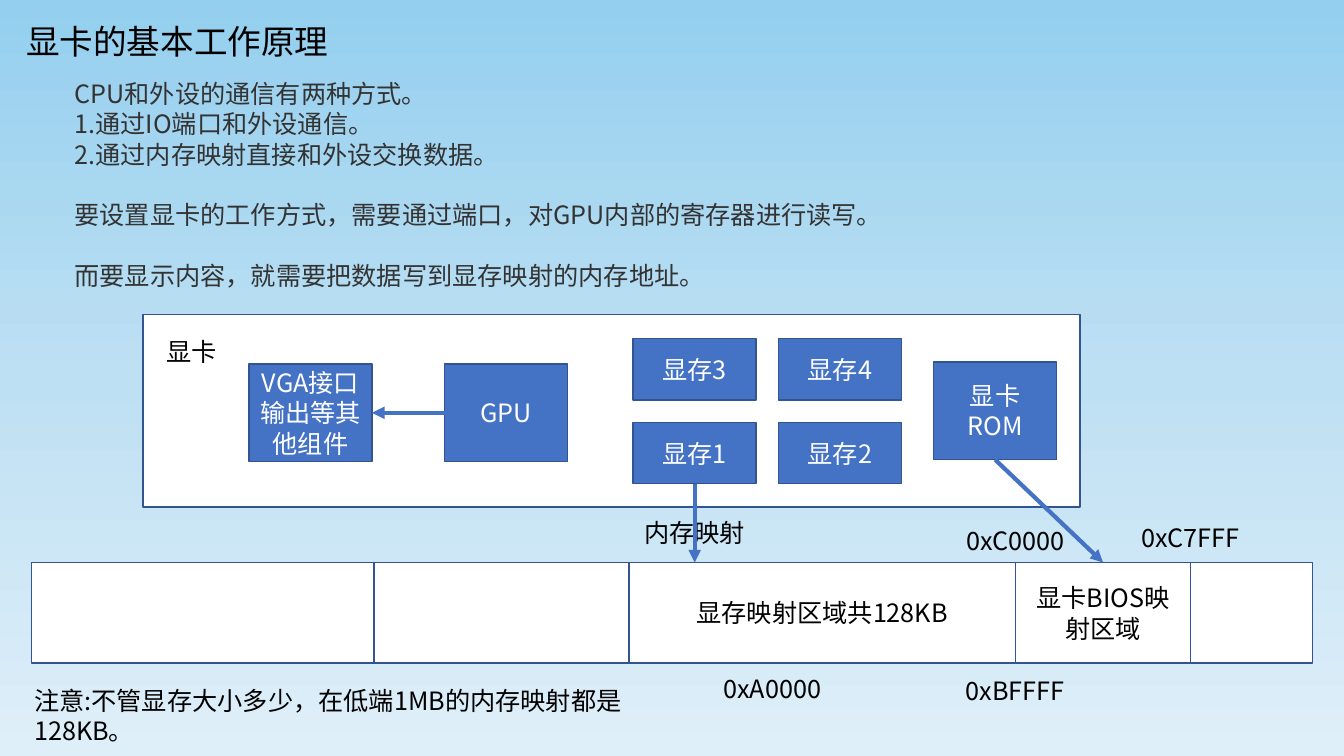
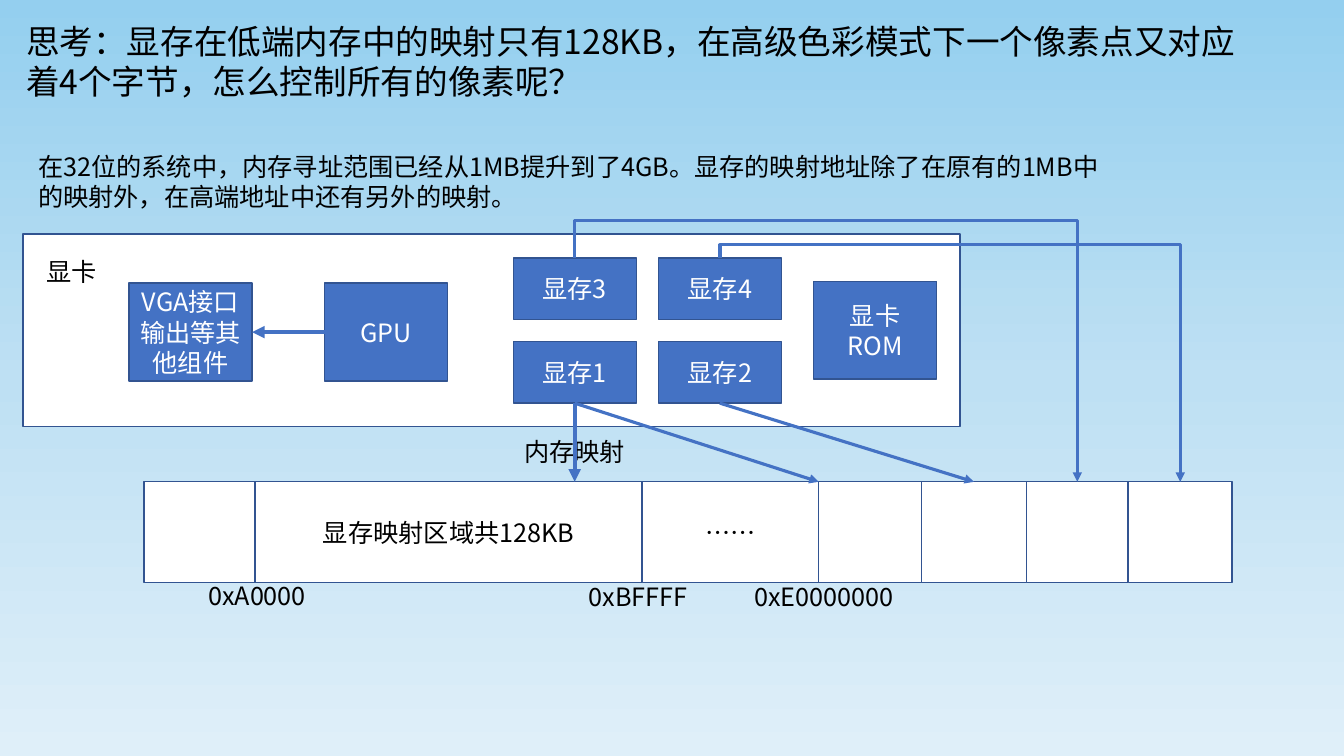
from copy import deepcopy
from itertools import pairwise

from pptx import Presentation
from pptx import util as u
from pptx.dml.color import RGBColor
from pptx.enum import shapes, text
from pptx.oxml.ns import qn
from pptx.oxml.xmlchemy import OxmlElement

FONT = "Noto Sans CJK SC"
COLOURS = {
    "sky_top": "94CFEF", "sky_middle": "BEE0F3", "sky_bottom": "DFEFF9",
    "blue": "4472C4", "edge": "325491",
    "white": "FFFFFF", "black": "000000", "grey": "333333",
}
LINE_HEIGHT = 1.2
ROW_HEIGHT = 1
CARD_WIDTH, CARD_HEIGHT = 9.29, 1.91
CHIP_WIDTH, CHIP_HEIGHT, VRAM_HEIGHT = 1.22, 0.97, 0.61
TOP, LEFT, BOTTOM, RIGHT = range(4)


def colour(name):
    return RGBColor.from_string(COLOURS[name])


def inches(*lengths):
    return [u.Inches(length) for length in lengths]


def write(shape, lines, size=18, ink="black", align="LEFT", anchor="TOP", gaps=()):
    """Fill a shape with paragraphs; gaps lists those with a line of space above."""
    frame = shape.text_frame
    frame.word_wrap = True
    frame.vertical_anchor = getattr(text.MSO_ANCHOR, anchor)
    for number, line in enumerate(lines):
        para = frame.add_paragraph() if number else frame.paragraphs[0]
        para.alignment = getattr(text.PP_ALIGN, align)
        para.line_spacing = u.Pt(size * LINE_HEIGHT)
        if number in gaps:
            para.space_before = u.Pt(size * LINE_HEIGHT)
        span = para.add_run()
        span.text = line
        for key, value in {"size": u.Pt(size), "name": FONT}.items():
            setattr(span.font, key, value)
        span.font.color.rgb = colour(ink)
        east_asian = OxmlElement("a:ea")
        east_asian.set("typeface", FONT)
        span.font._element.append(east_asian)


def add_text(parent, left, top, width, height, *lines, **style):
    box = parent.shapes.add_textbox(*inches(left, top, width, height))
    write(box, lines, **style)
    return box


def add_box(parent, left, top, width, height, label="", fill="white", ink="black"):
    box = parent.shapes.add_shape(
        shapes.MSO_SHAPE.RECTANGLE, *inches(left, top, width, height))
    box.shadow.inherit = False
    box.fill.solid()
    box.fill.fore_color.rgb = colour(fill)
    box.line.color.rgb = colour("edge")
    box.line.width = u.Pt(1)
    if label:
        write(box, [label], ink=ink, align="CENTER", anchor="MIDDLE")
    return box


def style_arrow(arrow, width):
    arrow.line.color.rgb = colour("blue")
    arrow.line.width = u.Pt(width)
    head = OxmlElement("a:tailEnd")
    head.set("type", "triangle")
    arrow.line._get_or_add_ln().append(head)
    arrow._element.spPr.append(OxmlElement("a:effectLst"))


def add_arrow(parent, source, side, end=(0, 0), target=None, target_side=TOP, width=3):
    """Arrow from the middle of a box side to a point or to the middle of another side."""
    arrow = parent.shapes.add_connector(
        shapes.MSO_CONNECTOR.STRAIGHT, 0, 0, *inches(*end))
    arrow.begin_connect(source, side)
    if target is not None:
        arrow.end_connect(target, target_side)
    style_arrow(arrow, width)


def add_overhead_arrow(page, source, target, rise):
    """Elbow arrow that leaves a box top, rises, and drops onto the target's top."""
    start_x = source.left + source.width // 2
    run = target.left + target.width // 2 - start_x
    drop = target.top - source.top
    left = start_x + (run - drop) // 2
    top = source.top + (drop - run) // 2
    arrow = page.shapes.add_connector(
        shapes.MSO_CONNECTOR.ELBOW, left + drop, top, left, top + run)
    properties = arrow._element.spPr
    properties.find(qn("a:xfrm")).set("rot", str(270 * 60000))
    guide = OxmlElement("a:gd")
    guide.set("name", "adj1")
    guide.set("fmla", f"val {round(-100000 * u.Inches(rise) / drop)}")
    properties.find(qn("a:prstGeom")).get_or_add_avLst().append(guide)
    style_arrow(arrow, 2.25)


def add_card(page, left, top):
    """Graphics card diagram; returns its chips by name."""
    group = page.shapes.add_group_shape()
    add_box(group, left, top, CARD_WIDTH, CARD_HEIGHT)
    add_text(group, left + 0.13, top + 0.17, 0.75, 0.4, "显卡")
    places = {
        "VGA接口输出等其他组件": (1.05, 0.49, CHIP_HEIGHT),
        "GPU": (2.99, 0.49, CHIP_HEIGHT),
        "显卡ROM": (7.84, 0.47, CHIP_HEIGHT),
    }
    for index, number in enumerate((3, 4, 1, 2)):
        row, column = divmod(index, 2)
        places[f"显存{number}"] = (4.86 + 1.44 * column, 0.24 + 0.83 * row, VRAM_HEIGHT)
    chips = {
        name: add_box(group, left + x, top + y, CHIP_WIDTH, height, name, "blue", "white")
        for name, (x, y, height) in places.items()
    }
    add_arrow(group, chips["GPU"], LEFT,
              target=chips["VGA接口输出等其他组件"], target_side=RIGHT)
    add_text(page, left + 4.87, top + 1.96, 1.54, 0.4, "内存映射")
    return chips


def add_memory(page, top, edges, labels, addresses):
    """Memory row cut at the edges, with addresses centred on x, y from its top."""
    group = page.shapes.add_group_shape()
    cells = [add_box(group, left, top, right - left, ROW_HEIGHT, labels.get(index, ""))
             for index, (left, right) in enumerate(pairwise(edges))]
    for address, (x, y) in addresses.items():
        add_text(group, x - 0.9, top + y, 1.8, 0.4, address, align="CENTER")
    return cells


def paint_background(master):
    fill = master.background.fill
    fill.gradient()
    fill.gradient_angle = 270
    stop_list = master.element.find(".//" + qn("a:gsLst"))
    stop_list.insert(1, deepcopy(stop_list[0]))
    names = ("sky_top", "sky_middle", "sky_bottom")
    for stop, position, name in zip(fill.gradient_stops, (0, 0.5, 1), names):
        stop.position = position
        stop.color.rgb = colour(name)


def add_page(deck, title):
    page = deck.slides.add_slide(deck.slide_layouts[6])
    add_text(page, 0.16, 0.16, 12.45, 0.9, title, size=24)
    return page


def build_principle(deck):
    page = add_page(deck, "显卡的基本工作原理")
    add_text(page, 0.64, 0.73, 12.05, 2.22,
             "CPU和外设的通信有两种方式。",
             "1.通过IO端口和外设通信。",
             "2.通过内存映射直接和外设交换数据。",
             "要设置显卡的工作方式，需要通过端口，对GPU内部的寄存器进行读写。",
             "而要显示内容，就需要把数据写到显存映射的内存地址。",
             ink="grey", gaps=(3, 4))
    top = 5.58
    cells = add_memory(
        page, top, (0.31, 3.71, 6.24, 10.07, 11.81, 13.02),
        {2: "显存映射区域共128KB", 3: "显卡BIOS映射区域"},
        {"0xA0000": (7.66, 1.05), "0xBFFFF": (10.07, 1.07),
         "0xC0000": (10.07, -0.42), "0xC7FFF": (11.81, -0.45)})
    chips = add_card(page, 1.42, 3.12)
    add_arrow(page, chips["显卡ROM"], BOTTOM, target=cells[3])
    add_arrow(page, chips["显存1"], BOTTOM, (6.89, top))
    add_text(page, 0.24, 6.75, 6.05, 0.71,
             "注意:不管显存大小多少，在低端1MB的内存映射都是128KB。")


def build_question(deck):
    page = add_page(deck, "思考：显存在低端内存中的映射只有128KB，在高级色彩模式下"
                          "一个像素点又对应着4个字节，怎么控制所有的像素呢？")
    add_text(page, 0.28, 1.45, 10.87, 0.71,
             "在32位的系统中，内存寻址范围已经从1MB提升到了4GB。显存的映射地址除了在"
             "原有的1MB中的映射外，在高端地址中还有另外的映射。")
    top = 4.78
    cells = add_memory(
        page, top, (1.43, 2.53, 6.37, 8.12, 9.14, 10.18, 11.19, 12.22),
        {1: "显存映射区域共128KB", 2: "……"},
        {"0xA0000": (2.55, 0.93), "0xBFFFF": (6.33, 0.94), "0xE0000000": (8.17, 0.94)})
    chips = add_card(page, 0.23, 2.32)
    add_arrow(page, chips["显存1"], BOTTOM, (5.7, top))
    add_arrow(page, chips["显存1"], BOTTOM, (8.12, top), width=2.25)
    add_arrow(page, chips["显存2"], BOTTOM, target=cells[4], width=2.25)
    add_overhead_arrow(page, chips["显存3"], cells[5], 0.37)
    add_overhead_arrow(page, chips["显存4"], cells[6], 0.13)


def main():
    deck = Presentation()
    deck.slide_width, deck.slide_height = inches(13.33, 7.5)
    paint_background(deck.slide_master)
    build_principle(deck)
    build_question(deck)
    deck.save("out.pptx")


if __name__ == "__main__":
    main()
